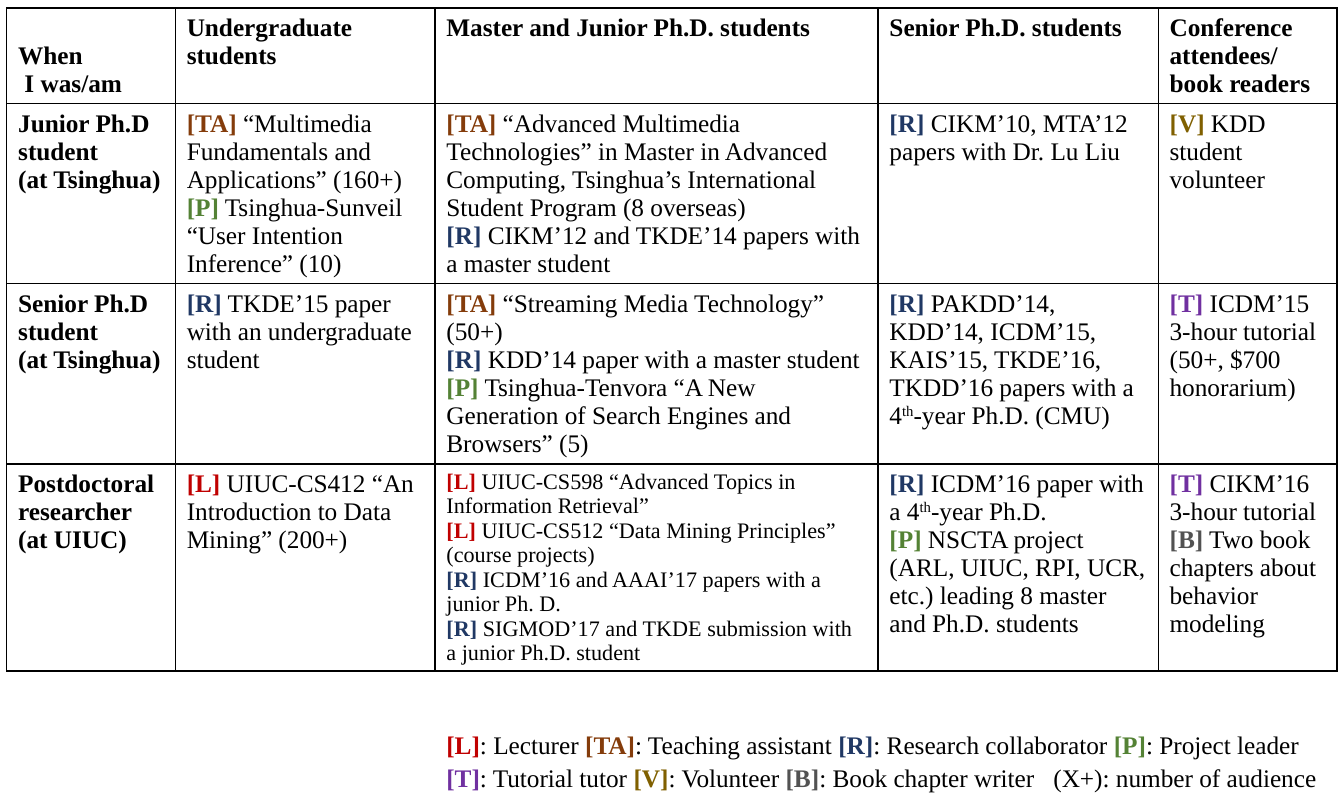
"""Build a slide with a table of mentoring and teaching work by career stage."""
from typing import NamedTuple

from lxml import etree
from pptx import Presentation
from pptx.dml.color import RGBColor
from pptx.enum.text import MSO_ANCHOR
from pptx.oxml.ns import qn
from pptx.util import Inches, Pt

TOP, BOTTOM = MSO_ANCHOR.TOP, MSO_ANCHOR.BOTTOM
FONT = "Times New Roman"
BLACK = "000000"
TAGS = {
    "L": "C00000", "TA": "843C0B", "R": "203864", "P": "548235",
    "T": "7030A0", "V": "806000", "B": "525252",
}
WIDTHS = (1.48, 2.28, 3.89, 2.46, 1.57)


class Entry(NamedTuple):
    """Lines of one cell, with ^ around raised letters."""
    lines: tuple
    bold: bool = False
    size: int = 16
    anchor: int = TOP


class Row(NamedTuple):
    """One table row with its height in inches."""
    height: float
    cells: tuple


def head(*lines: str, anchor: int = TOP) -> Entry:
    """Return a bold entry."""
    return Entry(lines, True, anchor=anchor)


def body(*lines: str, size: int = 16) -> Entry:
    """Return a plain entry."""
    return Entry(lines, size=size)


ROWS = (
    Row(0.84, (
        head("When", " I was/am", anchor=BOTTOM),
        head("Undergraduate students"),
        head("Master and Junior Ph.D. students"),
        head("Senior Ph.D. students"),
        head("Conference attendees/", "book readers"),
    )),
    Row(1.58, (
        head("Junior Ph.D student", "(at Tsinghua)"),
        body("[TA] “Multimedia Fundamentals and Applications” (160+)",
             "[P] Tsinghua-Sunveil “User Intention Inference” (10)"),
        body("[TA] “Advanced Multimedia Technologies” in Master in Advanced "
             "Computing, Tsinghua’s International Student Program (8 overseas)",
             "[R] CIKM’12 and TKDE’14 papers with a master student"),
        body("[R] CIKM’10, MTA’12 papers with Dr. Lu Liu"),
        body("[V] KDD student volunteer"),
    )),
    Row(1.58, (
        head("Senior Ph.D student", "(at Tsinghua)"),
        body("[R] TKDE’15 paper with an undergraduate student"),
        body("[TA] “Streaming Media Technology” (50+)",
             "[R] KDD’14 paper with a master student",
             "[P] Tsinghua-Tenvora “A New Generation of Search Engines "
             "and Browsers” (5)"),
        body("[R] PAKDD’14, KDD’14, ICDM’15, KAIS’15, TKDE’16, TKDD’16 "
             "papers with a 4^th^-year Ph.D. (CMU)"),
        body("[T] ICDM’15 3-hour tutorial (50+, $700 honorarium)"),
    )),
    Row(1.82, (
        head("Postdoctoral researcher", "(at UIUC)"),
        body("[L] UIUC-CS412 “An Introduction to Data Mining” (200+)"),
        body("[L] UIUC-CS598 “Advanced Topics in Information Retrieval”",
             "[L] UIUC-CS512 “Data Mining Principles” (course projects)",
             "[R] ICDM’16 and AAAI’17 papers with a junior Ph. D.",
             "[R] SIGMOD’17 and TKDE submission with a junior Ph.D. student",
             size=14),
        body("[R] ICDM’16 paper with a 4^th^-year Ph.D.",
             "[P] NSCTA project (ARL, UIUC, RPI, UCR, etc.) leading 8 master "
             "and Ph.D. students"),
        body("[T] CIKM’16 3-hour tutorial",
             "[B] Two book chapters about behavior modeling"),
    )),
)
LEGEND = body(
    "[L]: Lecturer [TA]: Teaching assistant [R]: Research collaborator "
    "[P]: Project leader",
    "[T]: Tutorial tutor [V]: Volunteer [B]: Book chapter writer\t"
    "(X+): number of audience",
)


def paint(color, value: str) -> None:
    """Set a color from a hex string."""
    color.rgb = RGBColor.from_string(value)


def add_run(para, text: str, size: int, bold: bool, color: str = BLACK):
    """Add one styled run."""
    run = para.add_run()
    run.text = text
    font = run.font
    font.name, font.size, font.bold = FONT, Pt(size), bold
    paint(font.color, color)
    return run


def add_plain(para, text: str, entry: Entry) -> None:
    """Add text, raising every second part between ^ marks."""
    for i, part in enumerate(text.split("^")):
        if part:
            run = add_run(para, part, entry.size, entry.bold)
            if i % 2:
                run._r.get_or_add_rPr().set("baseline", "30000")


def add_line(para, line: str, entry: Entry) -> None:
    """Add a line, coloring each tag in square brackets."""
    first, *parts = line.split("[")
    add_plain(para, first, entry)
    for part in parts:
        tag, _, rest = part.partition("]")
        add_run(para, f"[{tag}]", entry.size, True, TAGS[tag])
        add_plain(para, rest, entry)


def fill_text(frame, entry: Entry) -> None:
    """Write the lines of an entry as paragraphs."""
    frame.word_wrap = True
    for i, line in enumerate(entry.lines):
        para = frame.add_paragraph() if i else frame.paragraphs[0]
        add_line(para, line, entry)


def add_edges(cell) -> None:
    """Draw a thin black line on each side of a cell."""
    props = cell._tc.get_or_add_tcPr()
    for side in ("lnL", "lnR", "lnT", "lnB"):
        line = etree.SubElement(props, qn(f"a:{side}"), w=str(Pt(1)))
        fill = etree.SubElement(line, qn("a:solidFill"))
        etree.SubElement(fill, qn("a:srgbClr"), val=BLACK)


def add_grid(slide) -> None:
    """Add the table of work."""
    height = sum(row.height for row in ROWS)
    table = slide.shapes.add_table(
        len(ROWS), len(WIDTHS), Inches(0.06), Inches(0.07),
        Inches(sum(WIDTHS)), Inches(height)).table
    for col, width in zip(table.columns, WIDTHS):
        col.width = Inches(width)
    for r, row in enumerate(ROWS):
        table.rows[r].height = Inches(row.height)
        for c, entry in enumerate(row.cells):
            cell = table.cell(r, c)
            add_edges(cell)
            cell.fill.background()
            cell.vertical_anchor = entry.anchor
            fill_text(cell.text_frame, entry)


def add_legend(slide) -> None:
    """Add the key to the tags."""
    box = slide.shapes.add_textbox(
        Inches(3.82), Inches(6.33), Inches(7.91), Inches(0.64))
    fill_text(box.text_frame, LEGEND)
    for para in box.text_frame.paragraphs:
        para.line_spacing = 1.1
        tabs = etree.SubElement(para._p.get_or_add_pPr(), qn("a:tabLst"))
        etree.SubElement(tabs, qn("a:tab"), pos=str(Inches(5.33)), algn="l")


def main() -> None:
    """Build and save the slide."""
    deck = Presentation()
    deck.slide_width, deck.slide_height = Inches(11.8), Inches(7)
    slide = deck.slides.add_slide(deck.slide_layouts[6])
    add_grid(slide)
    add_legend(slide)
    deck.save("out.pptx")


if __name__ == "__main__":
    main()
